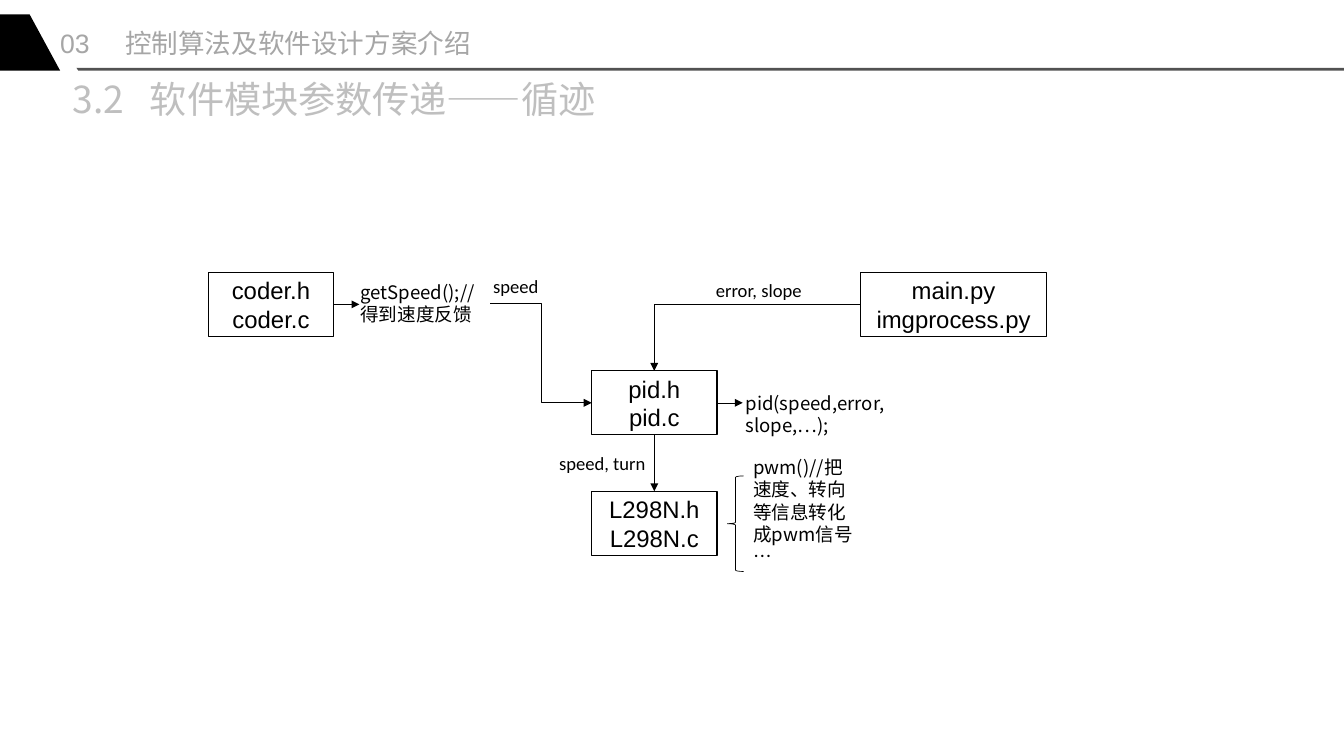
"""Build the slide on parameter passing between the line-tracking software modules."""
from pptx import Presentation
from pptx.dml.color import RGBColor
from pptx.enum.shapes import MSO_CONNECTOR as LINK, MSO_SHAPE as SHAPE
from pptx.enum.text import MSO_ANCHOR as ANCHOR, PP_ALIGN as ALIGN
from pptx.oxml.ns import qn
from pptx.util import Inches, Pt
from lxml.etree import SubElement

BLACK = RGBColor(0, 0, 0)
WHITE = RGBColor(255, 255, 255)
RULE_GRAY = RGBColor(0x52, 0x52, 0x52)
CHAPTER_GRAY = RGBColor(0xA6, 0xA6, 0xA6)
TITLE_GRAY = RGBColor(0xBF, 0xBF, 0xBF)
LATIN, LABEL, CHINESE = "Arial", "Calibri", "Noto Sans CJK SC"
TOP, LEFT, BOTTOM, RIGHT = range(4)

CHAPTER = "03\t控制算法及软件设计方案介绍"
TITLE = "3.2\t软件模块参数传递——循迹"
BANNER = [
    (RULE_GRAY, [(0.8, 0.71), (14.06, 0.71), (14.06, 0.74), (0.82, 0.74)]),
    (BLACK, [(0.31, 0.15), (0.63, 0.74), (0, 0.74), (0, 0.15)]),
]
MODULE_HEIGHT = 0.67
MODULES = {
    "pid": (6.19, 3.88, 1.31, "pid.h\npid.c"),
    "main": (9, 2.85, 1.95, "main.py\nimgprocess.py"),
    "coder": (2.18, 2.85, 1.31, "coder.h\ncoder.c"),
    "driver": (6.19, 5.14, 1.31, "L298N.h\nL298N.c"),
}
CALLS = {
    "pid call": (7.7, 4.05, 1.71, 0.57, "pid(speed,error,slope,…);"),
    "speed call": (3.67, 2.89, 1.46, 0.57, "getSpeed();//得到速度反馈"),
    "pwm call": (7.78, 4.72, 1.31, 1.28, "pwm()//把速度、转向等信息转化成pwm信号\n…"),
}
PARAMETERS = [
    (7.39, 2.87, "error, slope"),
    (5.06, 2.83, "speed"),
    (5.75, 4.68, "speed, turn"),
]
FLOWS = [
    ("main", LEFT, "pid", TOP, "bentConnector2"),
    ("speed call", RIGHT, "pid", LEFT, "bentConnector3"),
    ("pid", BOTTOM, "driver", TOP, "line"),
]
STUBS = ["pid", "coder"]
STUB_LENGTH = 0.27


def write(frame, text, size, font, color=BLACK, align=ALIGN.LEFT, tab=None):
    frame.word_wrap = True
    frame.text = text
    for para in frame.paragraphs:
        para.alignment = align
        if tab:
            stops = SubElement(para._p.get_or_add_pPr(), qn("a:tabLst"))
            SubElement(stops, qn("a:tab"), pos=str(Inches(tab)), algn="l")
        for span in para.runs:
            span.font.size = Pt(size)
            span.font.name = font
            span.font.color.rgb = color
            SubElement(span._r.get_or_add_rPr(), qn("a:ea"), typeface=CHINESE)


def add_text(page, left, top, width, height, text, inset=True, **style):
    box = page.shapes.add_textbox(*map(Inches, (left, top, width, height)))
    frame = box.text_frame
    if not inset:
        frame.margin_left = frame.margin_right = 0
        frame.margin_top = frame.margin_bottom = 0
    write(frame, text, **style)
    return box


def add_module(page, left, top, width, text):
    box = page.shapes.add_shape(SHAPE.FLOWCHART_PROCESS,
                                *map(Inches, (left, top, width, MODULE_HEIGHT)))
    box.shadow.inherit = False
    box.fill.solid()
    box.fill.fore_color.rgb = WHITE
    box.line.color.rgb = BLACK
    box.line.width = Pt(1)
    box.text_frame.vertical_anchor = ANCHOR.MIDDLE
    write(box.text_frame, text, 18, LATIN, align=ALIGN.CENTER)
    return box


def side_point(box, side):
    across, down = [(0.5, 0), (0, 0.5), (0.5, 1), (1, 0.5)][side]
    return int(box.left + box.width * across), int(box.top + box.height * down)


def add_arrow(page, start, finish, geometry="line"):
    kind = LINK.STRAIGHT if geometry == "line" else LINK.ELBOW
    arrow = page.shapes.add_connector(kind, *start, *finish)
    arrow.line.color.rgb = BLACK
    arrow.line.width = Pt(0.5)
    properties = arrow._element.spPr
    properties.find(qn("a:prstGeom")).set("prst", geometry)
    SubElement(properties.find(qn("a:ln")), qn("a:tailEnd"), type="triangle")
    SubElement(properties, qn("a:effectLst"))
    return arrow


def main():
    deck = Presentation()
    deck.slide_width, deck.slide_height = Inches(14.06), Inches(7.91)
    page = deck.slides.add_slide(deck.slide_layouts[6])

    for color, points in BANNER:
        corners = [(Inches(x), Inches(y)) for x, y in points]
        builder = page.shapes.build_freeform(*corners[0])
        builder.add_line_segments(corners[1:])
        band = builder.convert_to_shape()
        band.shadow.inherit = False
        band.fill.solid()
        band.fill.fore_color.rgb = color
        band.line.fill.background()

    add_text(page, 0.66, 0.75, 5.89, 0.57, TITLE,
             size=28, font=CHINESE, color=TITLE_GRAY, tab=0.81)
    add_text(page, 0.63, 0.28, 4.32, 0.34, CHAPTER, inset=False,
             size=20, font=LATIN, color=CHAPTER_GRAY, tab=0.68)

    boxes = {name: add_module(page, *module) for name, module in MODULES.items()}
    for name, call in CALLS.items():
        boxes[name] = add_text(page, *call, size=14, font=CHINESE)
    for left, top, text in PARAMETERS:
        add_text(page, left, top, 1.15, 0.34, text, size=14, font=LABEL)

    for source, exit_side, target, entry_side, geometry in FLOWS:
        start = side_point(boxes[source], exit_side)
        finish = side_point(boxes[target], entry_side)
        arrow = add_arrow(page, start, finish, geometry)
        arrow.begin_connect(boxes[source], exit_side)
        arrow.end_connect(boxes[target], entry_side)
    for name in STUBS:
        x, y = side_point(boxes[name], RIGHT)
        arrow = add_arrow(page, (x, y), (x + Inches(STUB_LENGTH), y))
        arrow.begin_connect(boxes[name], RIGHT)

    brace = page.shapes.add_shape(SHAPE.LEFT_BRACE,
                                  *map(Inches, (7.61, 4.98, 0.17, 1)))
    brace.shadow.inherit = False
    brace.fill.background()
    brace.line.color.rgb = BLACK
    brace.line.width = Pt(0.5)

    deck.save("out.pptx")


if __name__ == "__main__":
    main()
